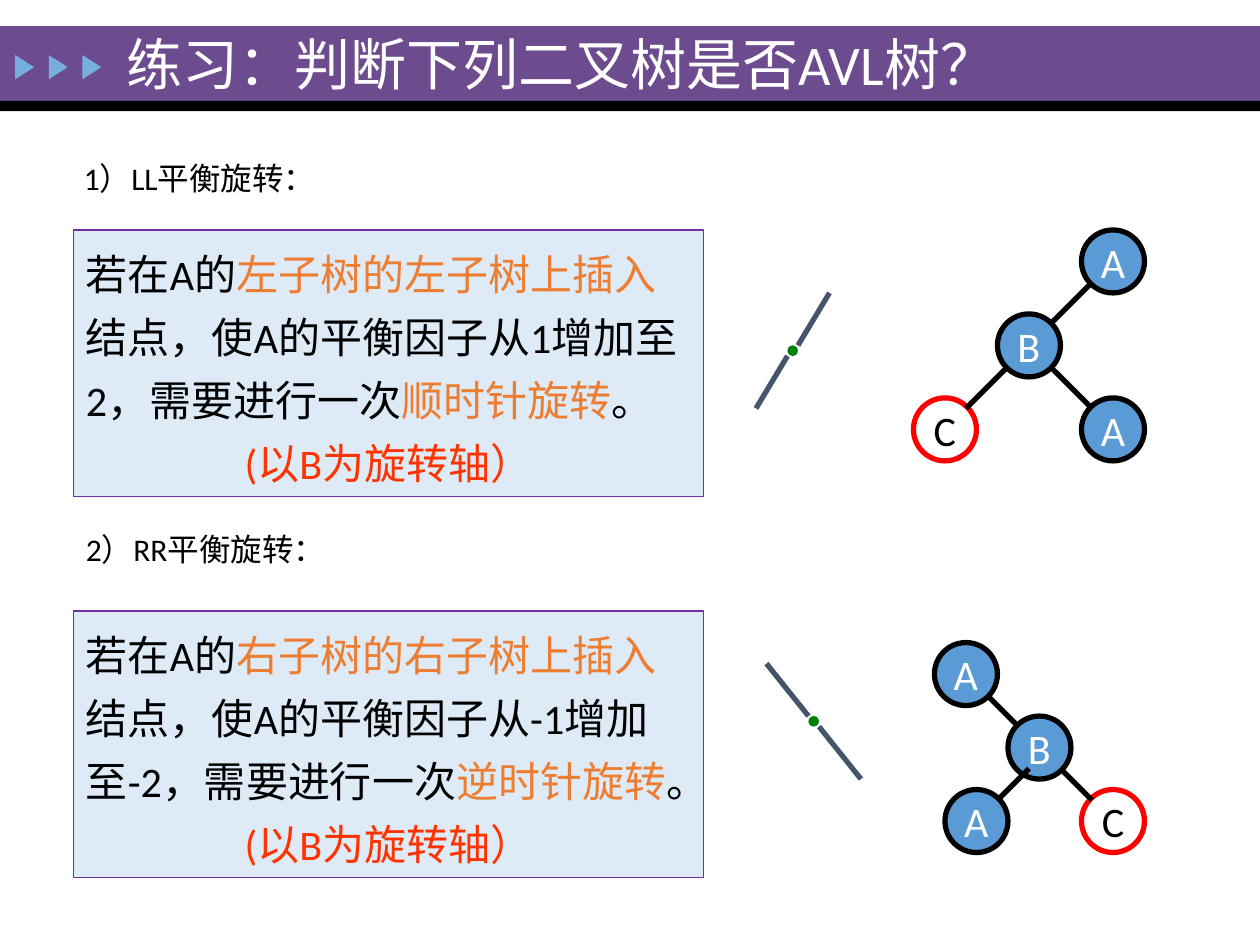
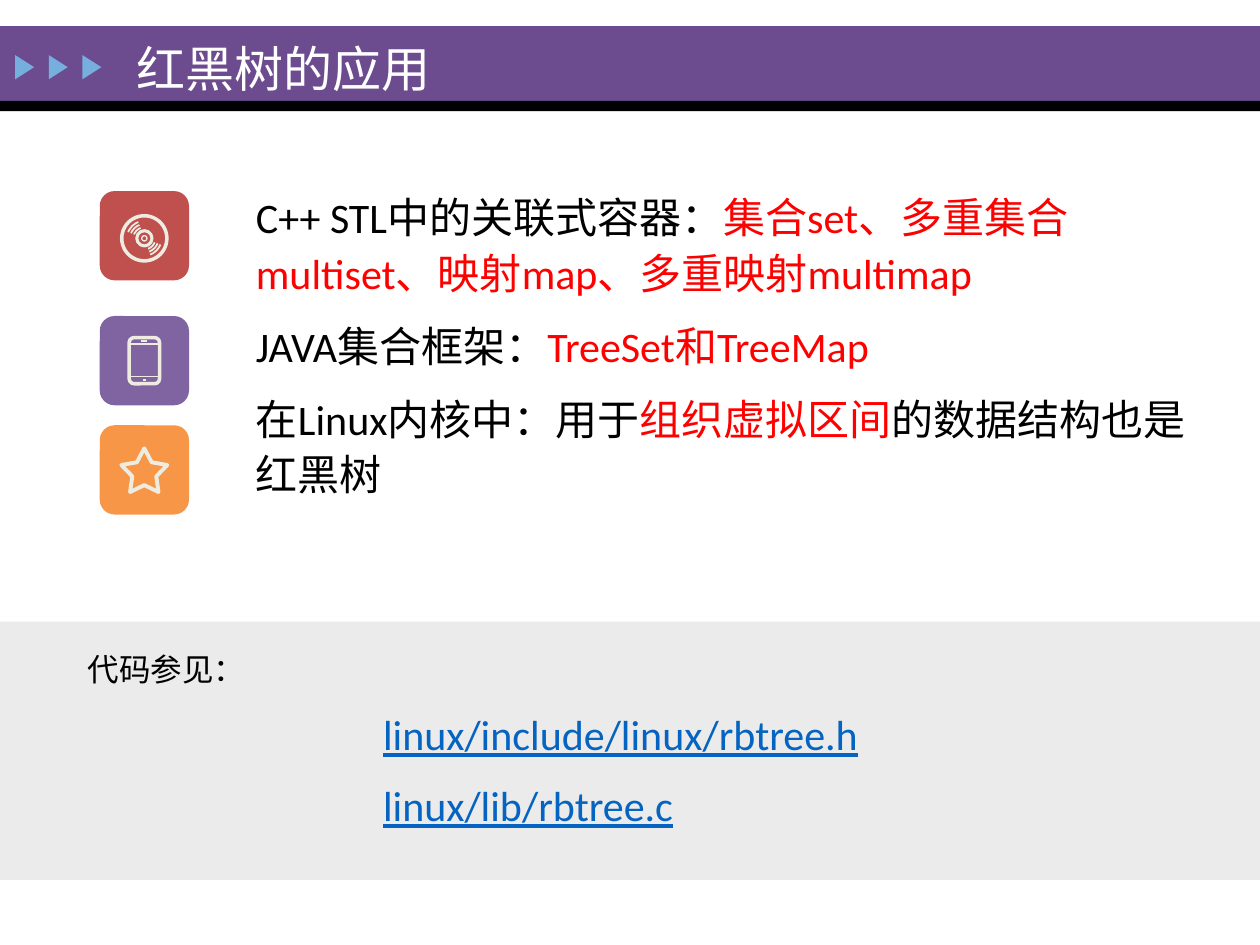
import math
from lxml import etree
from pptx import Presentation
from pptx.dml.color import RGBColor
from pptx.enum.shapes import MSO_CONNECTOR, MSO_SHAPE
from pptx.enum.text import MSO_ANCHOR, MSO_AUTO_SIZE, PP_ALIGN
from pptx.oxml.ns import qn
from pptx.util import Inches, Pt

RECT, ROUND = MSO_SHAPE.RECTANGLE, MSO_SHAPE.ROUNDED_RECTANGLE
OVAL, ARC, TRIANGLE = MSO_SHAPE.OVAL, MSO_SHAPE.ARC, MSO_SHAPE.ISOSCELES_TRIANGLE
STRAIGHT = MSO_CONNECTOR.STRAIGHT
TOP, MIDDLE = MSO_ANCHOR.TOP, MSO_ANCHOR.MIDDLE
LEFT, CENTER = PP_ALIGN.LEFT, PP_ALIGN.CENTER
NO_FIT = MSO_AUTO_SIZE.NONE

# Palette
PURPLE, SKY, BLACK, WHITE = "6C4C8F", "76AEDD", "000000", "FFFFFF"
PANEL, PANEL_EDGE, GREY = "DEEBF7", "7030A0", "EBEBEB"
BLUE, ORANGE, RED, VERMILION = "5B9BD5", "ED7D31", "FF0000", "FF3300"
SLATE, GREEN, LINK, IVORY = "44546A", "008000", "0563C1", "EEECE1"

# Grid of 120 columns by 90 rows
COLS, ROWS = 120, 90
NODE = 6
TILE = 8.5


def rgb(color):
    return RGBColor.from_string(color)


def cells(n):
    return Inches(n / 12)


class Deck:
    def __init__(self):
        self.prs = Presentation()
        self.prs.slide_width, self.prs.slide_height = cells(COLS), cells(ROWS)
        self.s = None

    def slide(self, title, x, y, w, h, size, font="Calibri"):
        self.s = self.prs.slides.add_slide(self.prs.slide_layouts[5])
        # Title band with three arrows
        self.shape(RECT, 0, 2.5, COLS, 7.1, PURPLE)
        self.shape(RECT, 0, 9.6, COLS, 1, BLACK)
        for i in range(3):
            self.shape(TRIANGLE, 1.2 + 3.2 * i, 5.5, 2.3, 1.8, SKY).rotation = 90
        # Title, brought in front of the band
        sp = self.s.shapes.title
        self.s.shapes._spTree.append(sp._element)
        sp.left, sp.top, sp.width, sp.height = map(cells, (x, y, w, h))
        self.frame(sp, MIDDLE)
        self.para(sp.text_frame.paragraphs[0], [(title, WHITE)], size, font=font)

    def outline(self, sp, color, width):
        sp.line.color.rgb = rgb(color)
        sp.line.width = Pt(width)
        etree.SubElement(sp.line._get_or_add_ln(), qn("a:round"))

    def style(self, sp, fill, line, width):
        sp.shadow.inherit = False
        if fill:
            sp.fill.solid()
            sp.fill.fore_color.rgb = rgb(fill)
        else:
            sp.fill.background()
        if line:
            self.outline(sp, line, width)
        else:
            sp.line.fill.background()
        return sp

    def shape(self, kind, x, y, w, h, fill=None, line=None, width=1):
        sp = self.s.shapes.add_shape(kind, *map(cells, (x, y, w, h)))
        return self.style(sp, fill, line, width)

    def ring(self, cx, cy, d, color, width, kind=OVAL):
        return self.shape(kind, cx - d / 2, cy - d / 2, d, d, None, color, width)

    def polygon(self, points, line, width):
        points = [(cells(x), cells(y)) for x, y in points]
        builder = self.s.shapes.build_freeform(*points[0], scale=1.0)
        builder.add_line_segments(points[1:], close=True)
        return self.style(builder.convert_to_shape(), None, line, width)

    def line(self, x1, y1, x2, y2, color=BLACK, width=3):
        c = self.s.shapes.add_connector(STRAIGHT, *map(cells, (x1, y1, x2, y2)))
        self.outline(c, color, width)
        etree.SubElement(c._element.spPr, qn("a:effectLst"))

    def frame(self, sp, anchor=TOP, wrap=True):
        tf = sp.text_frame
        tf.word_wrap, tf.auto_size, tf.vertical_anchor = wrap, NO_FIT, anchor
        return tf

    def para(self, p, runs, size, align=LEFT, spacing=None, before=None,
             indent=0, font="Calibri"):
        if indent:
            p._p.get_or_add_pPr().set("marL", str(cells(indent)))
            p._p.get_or_add_pPr().set("indent", "0")
        p.alignment, p.line_spacing = align, spacing
        if before:
            p.space_before = Pt(before)
        p.font.size, p.font.name = Pt(size), font
        for text, color in runs:
            r = p.add_run()
            r.text = text
            r.font.color.rgb = rgb(color)
            if color == LINK:
                r.font.underline = True

    def fill_text(self, sp, paras, size=24, anchor=TOP, wrap=True, **fmt):
        """Each paragraph is a list of runs with a dict of its own settings."""
        tf = self.frame(sp, anchor, wrap)
        for i, (runs, own) in enumerate(paras):
            p = tf.add_paragraph() if i else tf.paragraphs[0]
            settings = {"size": size, **fmt, **own}
            if not i:
                settings.pop("before", None)
            self.para(p, runs, **settings)

    def text(self, x, y, w, h, paras, **fmt):
        sp = self.s.shapes.add_textbox(*map(cells, (x, y, w, h)))
        self.fill_text(sp, paras, **fmt)

    # Tree parts
    def tree(self, nodes, edges):
        """Nodes are (letter, x, y); edges are (parent, child, inset)."""
        for letter, x, y in nodes:
            new = letter == "C"
            sp = self.shape(OVAL, x, y, NODE, NODE, None if new else BLUE,
                            RED if new else BLACK, 3)
            self.fill_text(sp, [([(letter, BLACK if new else WHITE)], {})],
                           anchor=MIDDLE, wrap=False, align=CENTER)
        for parent, child, inset in edges:
            (_, px, py), (_, cx, cy) = nodes[parent], nodes[child]
            if cx < px:
                self.line(px + inset, py + 5, cx + 5, cy + 1)
            else:
                self.line(px + NODE - inset, py + 5, cx + 1, cy + 1)

    def pivot(self, x, y, upper, lower):
        """A dot at x, y with a branch above and one below."""
        self.line(*upper, SLATE)
        self.shape(OVAL, x, y, 1, 1, GREEN)
        self.line(*lower, SLATE)

    def rule(self, y, side, start, end, turn):
        sp = self.shape(RECT, 7, y, 60, 25.4, PANEL, PANEL_EDGE, 0.75)
        self.fill_text(sp, [
            ([("若在A的", BLACK), (f"{side}子树的{side}子树上插入", ORANGE),
              (f"结点，使A的平衡因子从{start}增加至{end}，需要进行一次", BLACK),
              (f"{turn}时针旋转", ORANGE), ("。", BLACK)], {}),
            ([("(以B为旋转轴）", VERMILION)], {"align": CENTER}),
        ], spacing=1.25)

    # Icons, each drawn about its centre
    def disc(self, cx, cy):
        cy += 0.25
        for d, width in ((4.3, 2), (1.45, 1.75), (0.5, 0.75)):
            self.ring(cx, cy, d, IVORY, width)
        for d in (3.3, 2.7, 2.1):
            for start in (21, 201):
                sp = self.ring(cx, cy, d, IVORY, 1, ARC)
                sp.adjustments[0] = start * 0.6
                sp.adjustments[1] = (start + 49) * 0.6

    def phone(self, cx, cy):
        w, h = 2.9, 4.4
        self.shape(ROUND, cx - w / 2, cy - h / 2, w, h, None, IVORY, 2)
        for half, dy, width in ((1.4, -1.6, 0.75), (0.3, -1.88, 1),
                                (1.4, 1.5, 0.75), (0.12, 1.85, 1)):
            self.line(cx - half, cy + dy, cx + half, cy + dy, IVORY, width)

    def star(self, cx, cy):
        points = []
        for i in range(10):
            radius = 1.2 if i % 2 else 2.3
            angle = math.radians(36 * i - 90)
            points.append((cx + radius * math.cos(angle),
                           cy + 0.25 + radius * math.sin(angle)))
        self.polygon(points, IVORY, 2.25)


def rotations(d):
    d.slide("练习：判断下列二叉树是否AVL树？", 10.8, 2.6, 86.4, 6.8, 32)
    # LL rotation
    d.text(6.8, 11.9, 40, 10, [([("1）LL平衡旋转：", BLACK)], {})],
           size=18, anchor=MIDDLE)
    d.rule(21.9, "左", "1", "2", "顺")
    d.tree([("A", 103, 21.9), ("B", 95, 29.9), ("C", 87, 37.9), ("A", 103, 37.9)],
           [(0, 1, 1), (1, 2, 1), (1, 3, 1)])
    d.pivot(75, 32.9, (79, 27.9, 76, 32.9), (75, 33.9, 72, 38.9))
    # RR rotation
    d.text(7, 49.9, 40, 6.8, [([("2）RR平衡旋转：", BLACK)], {})], size=18)
    d.rule(58.2, "右", "-1", "-2", "逆")
    d.tree([("A", 89, 61.2), ("B", 96, 68.2), ("A", 90, 75.2), ("C", 103, 75.2)],
           [(0, 1, 1), (1, 2, 2), (1, 3, 1)])
    d.pivot(77, 68.2, (73, 63.2, 77, 68.2), (78, 69.2, 82, 74.2))


def applications(d):
    d.slide("红黑树的应用", 11.8, 2.8, 97, 7.4, 28, "Times New Roman")
    # Icon tiles
    for y, color, icon in ((18.2, "C0504D", d.disc), (30.1, "8064A2", d.phone),
                           (40.5, "F79646", d.star)):
        d.shape(ROUND, 9.5, y, TILE, TILE, color)
        icon(9.5 + TILE / 2, y + TILE / 2)
    # Uses
    d.text(23.2, 17.2, 93.6, 35.4, [
        ([("C++ STL中的关联式容器：", BLACK),
          ("集合set、多重集合multiset、映射map、多重映射multimap", RED)], {}),
        ([("JAVA集合框架：", BLACK), ("TreeSet和TreeMap", RED)], {}),
        ([("在Linux内核中：用于", BLACK), ("组织虚拟区间", RED),
          ("的数据结构也是红黑树", BLACK)], {}),
    ], spacing=1.1, before=10)
    # Source files
    d.shape(RECT, 0, 59.2, COLS, 24.6, GREY)
    d.text(6, 60.4, 114, 22.6, [
        ([("代码参见：", BLACK)], {"size": 18, "indent": 1.2}),
        ([("linux/include/linux/rbtree.h", LINK)], {}),
        ([("linux/lib/rbtree.c", LINK)], {}),
    ], spacing=1.25, before=4.8, indent=29.3)


def main():
    d = Deck()
    rotations(d)
    applications(d)
    d.prs.save("out.pptx")


if __name__ == "__main__":
    main()
